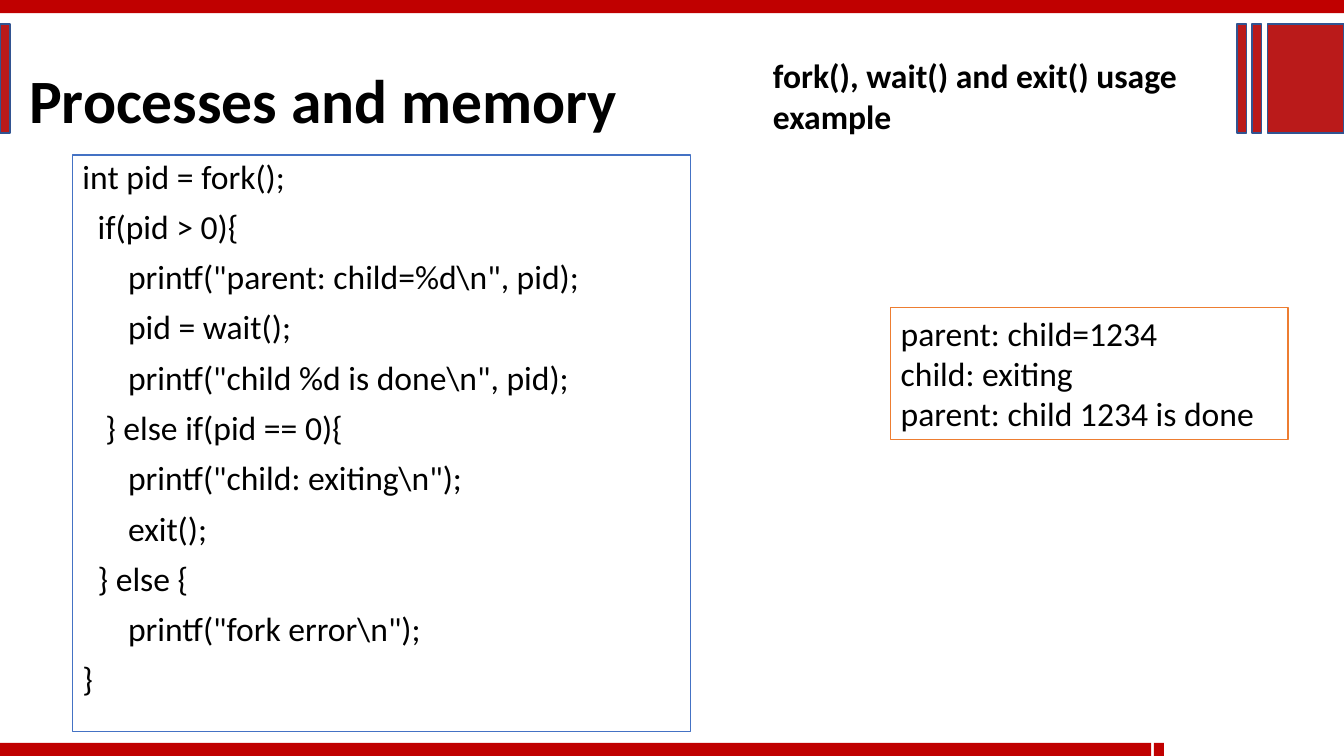
from dataclasses import dataclass

from pptx import Presentation
from pptx.dml.color import RGBColor
from pptx.enum.shapes import MSO_SHAPE as Shape
from pptx.enum.text import MSO_ANCHOR as Anchor, MSO_AUTO_SIZE as AutoSize, PP_ALIGN as Align
from pptx.util import Cm, Pt


@dataclass(frozen=True)
class Theme:
    font: str = "Calibri"
    text: RGBColor = RGBColor(0x00, 0x00, 0x00)
    paper: RGBColor = RGBColor(0xFF, 0xFF, 0xFF)
    bar: RGBColor = RGBColor(0xC0, 0x00, 0x00)
    block: RGBColor = RGBColor(0xBA, 0x1A, 0x1A)
    block_line: RGBColor = RGBColor(0x32, 0x54, 0x91)
    code_line: RGBColor = RGBColor(0x44, 0x72, 0xC4)
    output_line: RGBColor = RGBColor(0xED, 0x7D, 0x31)
    title_size: Pt = Pt(44)
    body_size: Pt = Pt(24)


THEME = Theme()
WIDTH, HEIGHT = 33.87, 19.05
BAR_HEIGHT = 0.33
BAR_TOP = HEIGHT - BAR_HEIGHT
BLOCK_TOP, BLOCK_HEIGHT = 0.61, 2.74

BARS = [
    (0, 0, WIDTH, BAR_HEIGHT),
    (0, BAR_TOP, 29.01, BAR_HEIGHT),
    (29.08, BAR_TOP, 0.25, BAR_HEIGHT),
]
BLOCKS = [(0, 0.25), (31.17, 0.25), (31.55, 0.25), (31.95, 1.92)]

CODE = r"""int pid = fork();
  if(pid > 0){
      printf("parent: child=%d\n", pid);
      pid = wait();
      printf("child %d is done\n", pid);
   } else if(pid == 0){
      printf("child: exiting\n");
      exit();
  } else {
      printf("fork error\n");
}"""
OUTPUT = """parent: child=1234
child: exiting
parent: child 1234 is done"""


def set_all(target, values):
    for name, value in values.items():
        setattr(target, name, value)


def add_rectangle(slide, box, fill, line=None):
    shape = slide.shapes.add_shape(Shape.RECTANGLE, *map(Cm, box))
    shape.shadow.inherit = False
    shape.fill.solid()
    shape.fill.fore_color.rgb = fill
    if line is None:
        shape.line.fill.background()
    else:
        shape.line.color.rgb = line
        shape.line.width = Pt(1)
    return shape


def write_text(shape, text, size, bold=False, anchor=Anchor.TOP, spacing=1.0, gap=0):
    """Fill the shape with one paragraph per line, with gap points between them."""
    frame = shape.text_frame
    set_all(frame, {"word_wrap": True, "auto_size": AutoSize.NONE, "vertical_anchor": anchor})
    for index, line in enumerate(text.split("\n")):
        paragraph = frame.add_paragraph() if index else frame.paragraphs[0]
        paragraph.text = line
        set_all(paragraph, {
            "alignment": Align.LEFT,
            "line_spacing": spacing,
            "space_before": Pt(gap if index else 0),
        })
        set_all(paragraph.font, {"name": THEME.font, "size": size, "bold": bold})
        paragraph.font.color.rgb = THEME.text


def add_title(slide, box, text):
    title = slide.shapes.title
    set_all(title, dict(zip(("left", "top", "width", "height"), map(Cm, box))))
    write_text(title, text, THEME.title_size, bold=True, anchor=Anchor.MIDDLE, spacing=0.9)


def add_subtitle(slide, box, text):
    write_text(slide.shapes.add_textbox(*map(Cm, box)), text, THEME.body_size, bold=True)


def add_listing(slide, box, text, line, **spacing):
    panel = add_rectangle(slide, box, THEME.paper, line)
    write_text(panel, text, THEME.body_size, **spacing)


def main():
    presentation = Presentation()
    set_all(presentation, {"slide_width": Cm(WIDTH), "slide_height": Cm(HEIGHT)})
    title_only = presentation.slide_layouts.get_by_name("Title Only")
    slide = presentation.slides.add_slide(title_only)

    for box in BARS:
        add_rectangle(slide, box, THEME.bar)
    for left, width in BLOCKS:
        box = (left, BLOCK_TOP, width, BLOCK_HEIGHT)
        add_rectangle(slide, box, THEME.block, THEME.block_line)

    add_title(slide, (0.48, 0.76, 29.54, 3.68), "Processes and memory")
    add_subtitle(slide, (19.23, 1.27, 12.24, 2.31), "fork(), wait() and exit() usage example")
    add_listing(slide, (1.83, 3.91, 15.57, 14.53), CODE, THEME.code_line, spacing=0.9, gap=10)
    add_listing(slide, (22.45, 7.75, 10.01, 3.33), OUTPUT, THEME.output_line)

    presentation.save("out.pptx")


if __name__ == "__main__":
    main()
